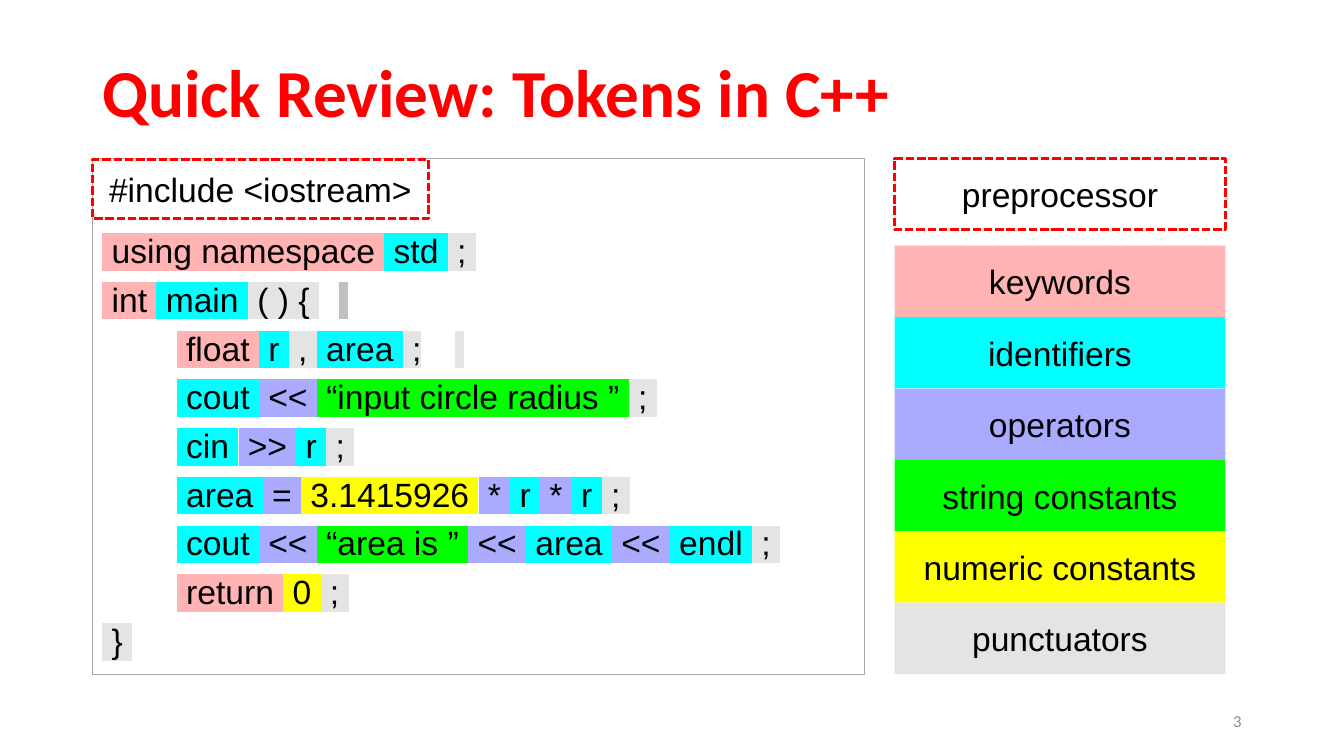
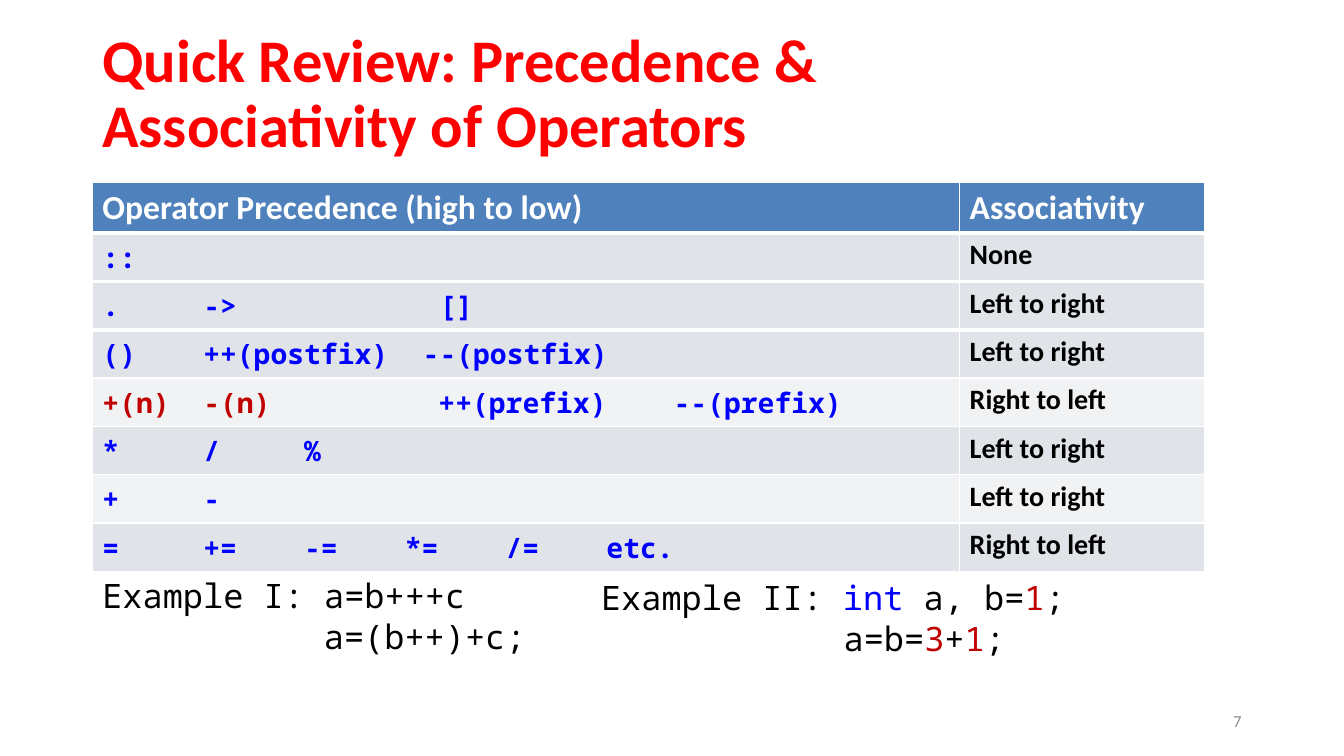
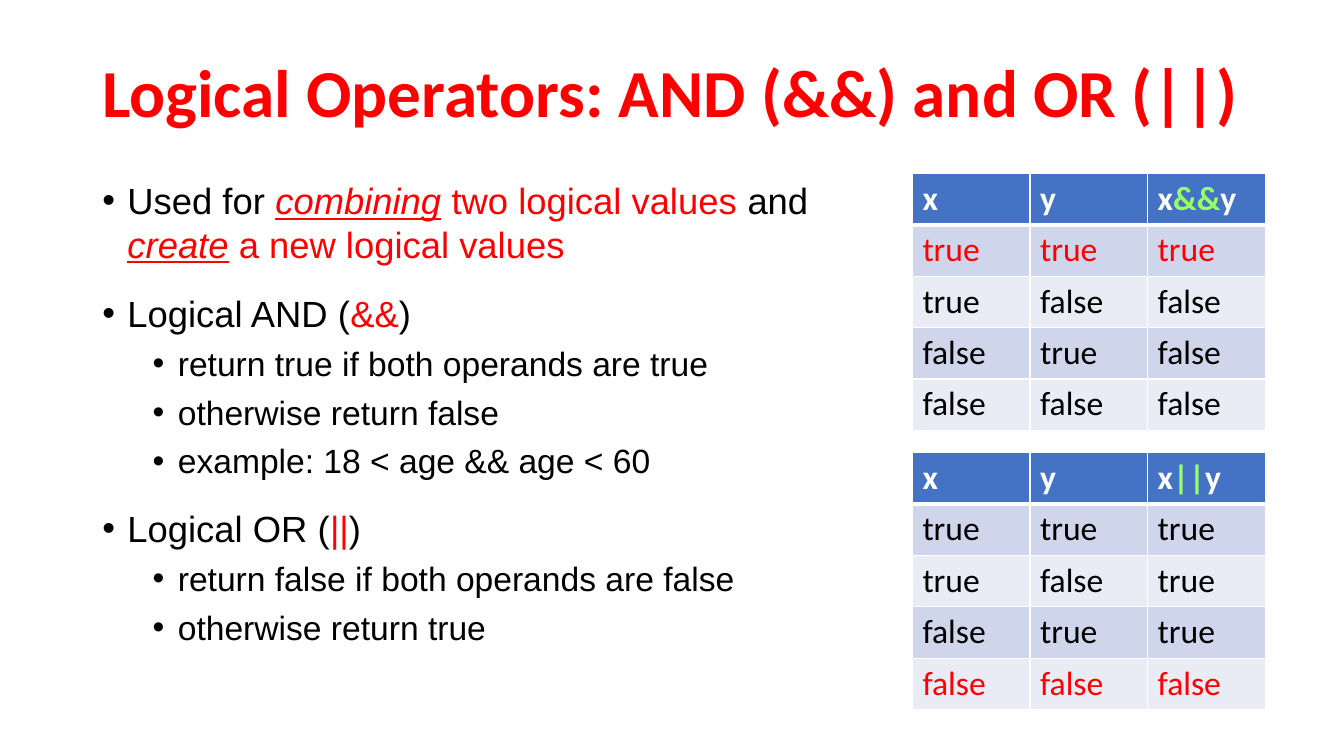
from dataclasses import dataclass

from lxml.etree import SubElement
from pptx import Presentation
from pptx.dml.color import RGBColor
from pptx.enum.dml import MSO_LINE
from pptx.enum.shapes import MSO_SHAPE
from pptx.enum.text import MSO_ANCHOR, PP_ALIGN
from pptx.oxml.ns import qn
from pptx.util import Pt

SCALE = 9525


@dataclass(frozen=True)
class Theme:
    sans: str = "Arial"
    heading: str = "Calibri"
    mono: str = "Noto Sans Mono"
    black: str = "000000"
    white: str = "FFFFFF"
    red: str = "FF0000"
    dark_red: str = "C00000"
    blue: str = "0000FF"
    lime: str = "99FF66"
    gray: str = "8C8C8C"
    frame: str = "A6A6A6"
    cursor: str = "C0C0C0"
    keyword: str = "FFB3B3"
    identifier: str = "00FFFF"
    operator: str = "AAAAFF"
    string: str = "00FF00"
    number: str = "FFFF00"
    punctuator: str = "E4E4E4"
    steel_bands: tuple = ("4F81BD", "E0E4E9", "F0F2F4")
    royal_bands: tuple = ("4472C4", "CFD5EA", "E9EBF5")
    title_size: float = 48
    long_title_size: float = 43.2
    lead_size: float = 26
    text_size: float = 24
    cell_size: float = 20
    footer_size: float = 12


THEME = Theme()


@dataclass(frozen=True)
class Box:
    left: int
    top: int
    width: int
    height: int

    def emu(self):
        return [px(n) for n in (self.left, self.top, self.width, self.height)]


def px(length):
    return length * SCALE


def rgb(value):
    return RGBColor.from_string(value)


def write(para, text, size=THEME.text_size, font=THEME.sans, color=THEME.black,
          bold=False, italic=False, underline=False, mark=None):
    span = para.add_run()
    span.text = text
    span.font.size = Pt(size)
    span.font.bold = bold
    span.font.italic = italic
    span.font.underline = underline
    span.font.color.rgb = rgb(color)
    if mark:
        highlight = SubElement(span.font._element, qn("a:highlight"))
        SubElement(highlight, qn("a:srgbClr"), val=mark)
    span.font.name = font


def write_spans(para, spans, **base):
    for text, changes in spans:
        write(para, text, **{**base, **changes})


def plain(text, **changes):
    return [(text, changes)]


def next_para(frame, index):
    return frame.paragraphs[0] if index == 0 else frame.add_paragraph()


def set_indent(para, left, first=0):
    properties = para._p.get_or_add_pPr()
    properties.set("marL", str(px(left)))
    properties.set("indent", str(px(first)))


def set_tabs(para, stops):
    tabs = SubElement(para._p.get_or_add_pPr(), qn("a:tabLst"))
    for stop in stops:
        SubElement(tabs, qn("a:tab"), pos=str(px(stop)), algn="l")


def set_bullet(para):
    properties = para._p.get_or_add_pPr()
    SubElement(properties, qn("a:buFont"), typeface=THEME.sans)
    SubElement(properties, qn("a:buChar"), char="•")


def add_text_box(page, box, anchor=MSO_ANCHOR.TOP):
    frame = page.shapes.add_textbox(*box.emu()).text_frame
    frame.word_wrap = True
    frame.vertical_anchor = anchor
    return frame


def add_panel(page, box, fill=None, line=None, width=0.75, dash=None):
    shape = page.shapes.add_shape(MSO_SHAPE.RECTANGLE, *box.emu())
    shape.shadow.inherit = False
    if fill:
        shape.fill.solid()
        shape.fill.fore_color.rgb = rgb(fill)
    else:
        shape.fill.background()
    if line:
        shape.line.color.rgb = rgb(line)
        shape.line.width = Pt(width)
        shape.line.dash_style = dash
    else:
        shape.line.fill.background()
    shape.text_frame.word_wrap = True
    return shape.text_frame


def add_label(page, box, text, fill=None, dashed=False):
    outline = dict(line=THEME.red, width=2, dash=MSO_LINE.SQUARE_DOT) if dashed else {}
    frame = add_panel(page, box, fill, **outline)
    frame.vertical_anchor = MSO_ANCHOR.MIDDLE
    para = frame.paragraphs[0]
    para.alignment = PP_ALIGN.CENTER
    write(para, text)


def add_page(deck, title, number=None, size=THEME.title_size, width=1104):
    page = deck.slides.add_slide(deck.slide_layouts[6])
    para = add_text_box(page, Box(88, 38, width, 106), MSO_ANCHOR.MIDDLE).paragraphs[0]
    para.line_spacing = 0.9
    write(para, title, size=size, font=THEME.heading, color=THEME.red, bold=True)
    if number:
        para = add_text_box(page, Box(904, 667, 288, 38), MSO_ANCHOR.MIDDLE).paragraphs[0]
        para.alignment = PP_ALIGN.RIGHT
        write(para, number, size=THEME.footer_size, font=THEME.heading, color=THEME.gray)
    return page


def add_code(page, box, lines):
    frame = add_panel(page, box, line=THEME.frame)
    frame.margin_top = px(68)
    frame.vertical_anchor = MSO_ANCHOR.TOP
    for index, tokens in enumerate(lines):
        para = next_para(frame, index)
        para.alignment = PP_ALIGN.LEFT
        para.space_before = Pt(6 if index else 0)
        set_tabs(para, (71, 225, 336))
        for text, mark in tokens:
            write(para, text, mark=mark)
    add_label(page, Box(box.left, box.top + 1, 320, 56), "#include <iostream>", dashed=True)


def add_legend(page, box, entries):
    row = 68
    add_label(page, Box(box.left, box.top, box.width, row), "preprocessor",
              fill=THEME.white, dashed=True)
    first = box.top + box.height - row * len(entries)
    for index, (text, fill) in enumerate(entries):
        add_label(page, Box(box.left, first + index * row, box.width, row), text, fill=fill)


def set_borders(cell, top, bottom):
    properties = cell._tc.get_or_add_tcPr()
    sides = (("a:lnL", 1), ("a:lnR", 1), ("a:lnT", top), ("a:lnB", bottom))
    for index, (side, width) in enumerate(sides):
        line = SubElement(properties, qn(side), w=str(Pt(width)))
        fill = SubElement(line, qn("a:solidFill"))
        SubElement(fill, qn("a:srgbClr"), val=THEME.white)
        properties.insert(index, line)


def add_grid(page, box, columns, row_heights, bands, heavy):
    table = page.shapes.add_table(len(row_heights), len(columns), *box.emu()).table
    table.first_row = table.horz_banding = False
    for column, width in zip(table.columns, columns):
        column.width = px(width)
    for index, (row, height) in enumerate(zip(table.rows, row_heights)):
        row.height = px(height)
        light = index > heavy and index % 2 == 0
        for cell in row.cells:
            cell.fill.solid()
            cell.fill.fore_color.rgb = rgb(bands[0 if index == 0 else 2 if light else 1])
            set_borders(cell, 3 if 0 < index <= heavy else 1, 3 if index < heavy else 1)
    return table


def cell_para(table, row, column):
    return table.cell(row, column).text_frame.paragraphs[0]


def add_precedence_table(page, box, rows):
    heights = [box.height // (len(rows) + 1)] * (len(rows) + 1)
    table = add_grid(page, box, (826, box.width - 826), heights, THEME.steel_bands, heavy=3)
    for column, text in enumerate(("Operator Precedence (high to low)", "Associativity")):
        write(cell_para(table, 0, column), text, font=THEME.heading,
              color=THEME.white, bold=True)
    for index, (spans, stops, direction) in enumerate(rows, start=1):
        para = cell_para(table, index, 0)
        set_tabs(para, stops)
        write_spans(para, spans, size=THEME.cell_size, font=THEME.mono,
                    color=THEME.blue, bold=True)
        write(cell_para(table, index, 1), direction, size=THEME.cell_size,
              font=THEME.heading, bold=True)


def add_example(page, box, first, second, indent):
    frame = add_text_box(page, box)
    for index, spans in enumerate((first, second)):
        para = next_para(frame, index)
        set_indent(para, indent * index)
        write_spans(para, spans, font=THEME.mono)


def add_truth_table(page, box, symbol, results, red_row):
    inputs = (("true", "true"), ("true", "false"), ("false", "true"), ("false", "false"))
    table = add_grid(page, box, [box.width // 3] * 3, [box.height // 5] * 5,
                     THEME.royal_bands, heavy=1)
    header = (plain("x"), plain("y"),
              plain("x") + plain(symbol, color=THEME.lime) + plain("y"))
    for column, spans in enumerate(header):
        write_spans(cell_para(table, 0, column), spans, font=THEME.heading,
                    color=THEME.white, bold=True)
    for row, (pair, result) in enumerate(zip(inputs, results), start=1):
        for column, text in enumerate((*pair, result)):
            write(cell_para(table, row, column), text, font=THEME.heading,
                  color=THEME.red if row == red_row else THEME.black)


def add_bullets(page, box, items):
    frame = add_text_box(page, box)
    for index, (level, spans) in enumerate(items):
        para = next_para(frame, index)
        para.level = level
        para.space_before = Pt(6 if level else 18)
        set_indent(para, 24 + 48 * level, -24)
        set_bullet(para)
        write_spans(para, spans, size=THEME.text_size if level else THEME.lead_size)


def build_tokens_page(deck):
    page = add_page(deck, "Quick Review: Tokens in C++", "3")
    keyword, name, operator = THEME.keyword, THEME.identifier, THEME.operator
    string, number, mark = THEME.string, THEME.number, THEME.punctuator
    tab, end = ("\t", None), (" ; ", mark)
    shift = (" << ", operator)
    radius, times, area = (" r ", name), (" * ", operator), (" area ", name)
    add_code(page, Box(88, 151, 735, 491), (
        ((" using namespace ", keyword), (" std ", name), end),
        ((" int ", keyword), (" main ", name), (" ( ) { ", mark), tab, (" ", THEME.cursor)),
        (tab, (" float ", keyword), radius, (" , ", mark), area, (" ;\t ", mark)),
        (tab, (" cout ", name), shift, (" “input circle radius ” ", string), end),
        (tab, (" cin ", name), (" >> ", operator), radius, end),
        (tab, area, (" = ", operator), (" 3.1415926 ", number), times, radius,
         times, radius, end),
        (tab, (" cout ", name), shift, (" “area is ” ", string), shift, area, shift,
         (" endl ", name), end),
        (tab, (" return ", keyword), (" 0 ", number), end),
        ((" } ", mark),),
    ))
    add_legend(page, Box(852, 151, 315, 491), (
        ("keywords", keyword),
        ("identifiers", name),
        ("operators", operator),
        ("string constants", string),
        ("numeric constants", number),
        ("punctuators", mark),
    ))


def build_precedence_page(deck):
    page = add_page(deck, "Quick Review: Precedence & Associativity of Operators", "7",
                    size=THEME.long_title_size, width=1011)
    even = range(96, 481, 96)
    rightward, leftward = "Left to right", "Right to left"
    add_precedence_table(page, Box(88, 174, 1059, 368), (
        (plain("::"), even, "None"),
        (plain(".\t->\t[]"), (96, 321), rightward),
        (plain("()\t++(postfix)\t--(postfix)"), (96, 305), rightward),
        (plain("+(n)\t-(n)", color=THEME.dark_red) + plain("\t++(prefix)\t--(prefix)"),
         (96, 320, 544), leftward),
        (plain("*\t/\t%"), even, rightward),
        (plain("+\t-"), even, rightward),
        (plain("=\t+=\t-=\t*=\t/=\tetc."), even, leftward),
    ))
    one = plain("1", color=THEME.dark_red)
    add_example(page, Box(88, 543, 461, 87), plain("Example I: a=b+++c"),
                plain("a=(b++)+c;"), indent=211)
    add_example(page, Box(563, 545, 461, 87),
                plain("Example II: ") + plain("int", color=THEME.blue)
                + plain(" a, b=") + one + plain(";"),
                plain("a=b=") + plain("3", color=THEME.dark_red)
                + plain("+") + one + plain(";"), indent=231)


def build_logic_page(deck):
    page = add_page(deck, "Logical Operators: AND (&&) and OR (||)")
    accent = dict(color=THEME.red, italic=True, underline=True)
    add_bullets(page, Box(88, 165, 716, 539), (
        (0, plain("Used for ") + plain("combining", **accent)
         + plain(" two logical values ", color=THEME.red) + plain("and ")
         + plain("create", **accent) + plain(" a new logical values", color=THEME.red)),
        (0, plain("Logical AND (") + plain("&&", color=THEME.red) + plain(")")),
        (1, plain("return true if both operands are true")),
        (1, plain("otherwise return false")),
        (1, plain("example: 18 < age && age < 60")),
        (0, plain("Logical OR (") + plain("||", color=THEME.red) + plain(")")),
        (1, plain("return false if both operands are false")),
        (1, plain("otherwise return true")),
    ))
    add_truth_table(page, Box(869, 165, 336, 245), "&&",
                    ("true", "false", "false", "false"), red_row=1)
    add_truth_table(page, Box(869, 431, 336, 245), "||",
                    ("true", "true", "true", "false"), red_row=4)


def main():
    deck = Presentation()
    deck.slide_width, deck.slide_height = px(1280), px(720)
    build_tokens_page(deck)
    build_precedence_page(deck)
    build_logic_page(deck)
    deck.save("out.pptx")


if __name__ == "__main__":
    main()
